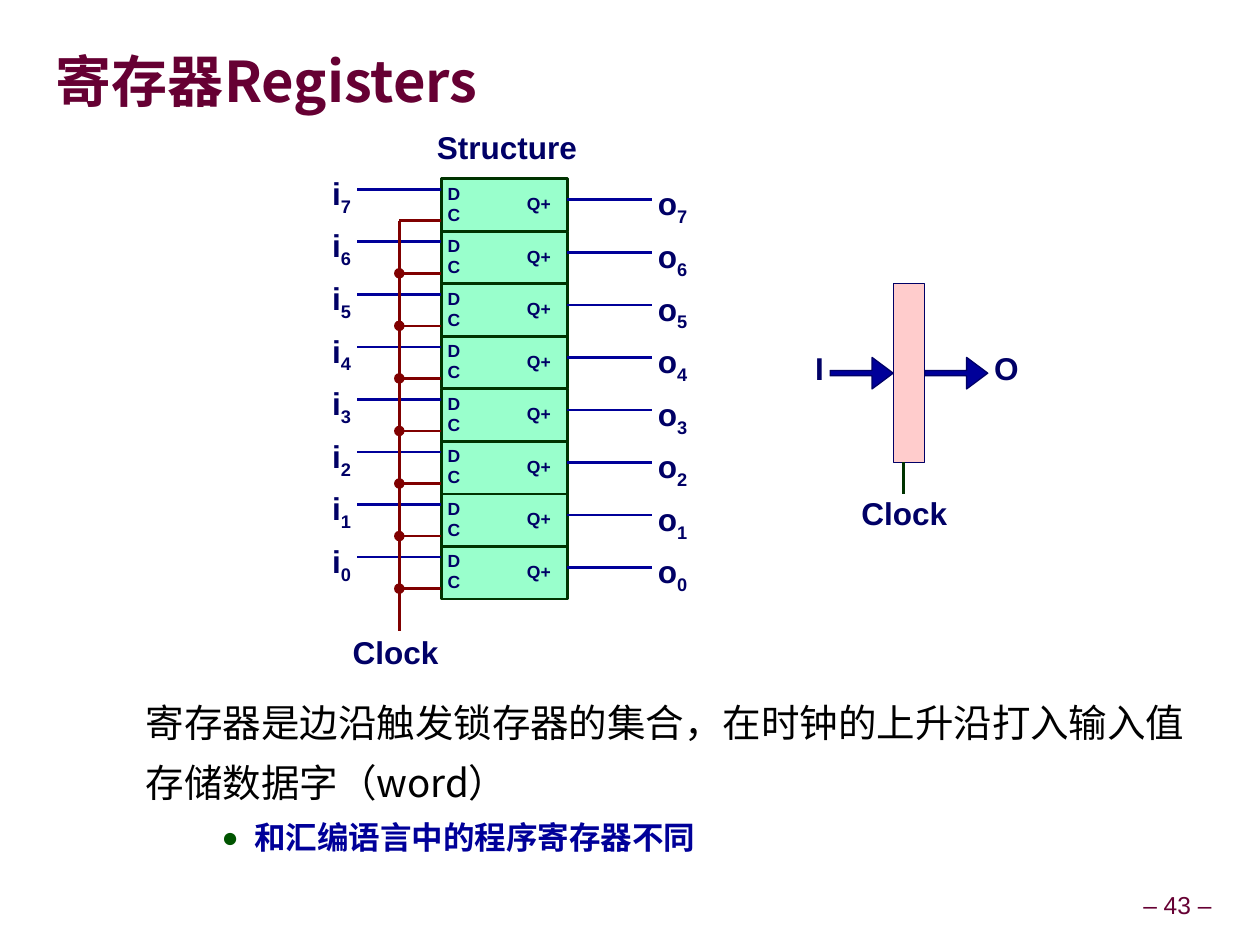
import pptx
import pptx.dml.color
import pptx.enum.shapes
import pptx.enum.text
import pptx.oxml.ns
import pptx.util
from lxml import etree

SHAPE = pptx.enum.shapes.MSO_SHAPE
ALIGN = pptx.enum.text.PP_ALIGN
ANCHOR = pptx.enum.text.MSO_ANCHOR

PX_PER_INCH = 120
LATIN = "Arial"
CJK = "Noto Sans CJK SC"
MAROON = "660033"
NAVY = "000066"
BLUE = "000099"
CLOCK_RED = "800000"
DARK_GREEN = "003300"

BITS = 8
ROW_HEIGHT = 50
REGISTER_TOP = 170
REGISTER_LEFT = 420
REGISTER_WIDTH = 120
BUS_X = 380
LABEL_HEIGHT = 44


def px(length):
    return pptx.util.Emu(length * 914400 // PX_PER_INCH)


def color(value):
    return pptx.dml.color.RGBColor.from_string(value)


def add_child(parent, tag, **attributes):
    return etree.SubElement(parent, pptx.oxml.ns.qn(tag), attributes)


def add_span(para, text, size, ink, bold=True, font=LATIN, subscript=False):
    span = para.add_run()
    span.text = text
    span.font.size = pptx.util.Pt(size)
    span.font.bold = bold
    span.font.color.rgb = color(ink)
    span.font.name = font
    properties = span.font._element
    add_child(properties, "a:ea", typeface=CJK)
    if subscript:
        properties.set("baseline", "-25000")


def format_frame(frame, inset_x, inset_y, wrap=True, anchor=ANCHOR.TOP):
    frame.auto_size = pptx.enum.text.MSO_AUTO_SIZE.NONE
    frame.word_wrap = wrap
    frame.vertical_anchor = anchor
    frame.margin_left = frame.margin_right = px(inset_x)
    frame.margin_top = frame.margin_bottom = px(inset_y)


def add_label(shapes, text, left, top, width, height=LABEL_HEIGHT, size=18,
              align=ALIGN.LEFT, wrap=True, index="", ink=NAVY, bold=True,
              anchor=ANCHOR.TOP):
    box = shapes.add_textbox(px(left), px(top), px(width), px(height))
    format_frame(box.text_frame, 6, 6, wrap, anchor)
    para = box.text_frame.paragraphs[0]
    para.alignment = align
    para.line_spacing = 0.9
    add_span(para, text, size, ink, bold)
    if index:
        add_span(para, index, size, ink, bold, subscript=True)


def add_block(shapes, kind, left, top, width, height, fill, line=None,
              line_width=0.75):
    block = shapes.add_shape(kind, px(left), px(top), px(width), px(height))
    block.shadow.inherit = False
    block.fill.solid()
    block.fill.fore_color.rgb = color(fill)
    if line:
        block.line.color.rgb = color(line)
        block.line.width = pptx.util.Pt(line_width)
    else:
        block.line.fill.background()
    return block


def add_wire(shapes, start_x, start_y, end_x, end_y, ink):
    wire = shapes.add_connector(pptx.enum.shapes.MSO_CONNECTOR.STRAIGHT,
                                px(start_x), px(start_y), px(end_x), px(end_y))
    wire.line.color.rgb = color(ink)
    wire.line.width = pptx.util.Pt(1.5)
    add_child(wire._element.spPr, "a:effectLst")


def add_title(page):
    title = page.shapes.title
    title.left, title.top = px(53), px(32)
    title.width, title.height = px(1116), px(97)
    format_frame(title.text_frame, 0, 0, anchor=ANCHOR.MIDDLE)
    para = title.text_frame.paragraphs[0]
    para.alignment = ALIGN.LEFT
    para.line_spacing = 0.87
    add_span(para, "寄存器Registers", 32, MAROON, font=CJK)


def set_indent(para, margin, indent, bullet=False):
    properties = para._p.get_or_add_pPr()
    properties.set("marL", str(px(margin)))
    properties.set("indent", str(px(indent)))
    if bullet:
        bullet_color = add_child(properties, "a:buClr")
        add_child(bullet_color, "a:srgbClr", val="005400")
        add_child(properties, "a:buSzPct", val="90000")
        add_child(properties, "a:buFont", typeface=LATIN)
        add_child(properties, "a:buChar", char="●")


def add_body(page):
    box = page.shapes.add_textbox(px(80), px(650), px(1088), px(144))
    frame = box.text_frame
    format_frame(frame, 12, 6)
    statements = ["寄存器是边沿触发锁存器的集合，在时钟的上升沿打入输入值",
                  "存储数据字（word）"]
    for number, text in enumerate(statements):
        para = frame.add_paragraph() if number else frame.paragraphs[0]
        set_indent(para, 47, 0)
        para.line_spacing = 1.2
        if number:
            para.space_before = pptx.util.Pt(3)
        add_span(para, text, 22, "000000", bold=False, font=CJK)
    para = frame.add_paragraph()
    set_indent(para, 150, -31, bullet=True)
    para.line_spacing = 1.2
    para.space_before = pptx.util.Pt(3)
    add_span(para, "和汇编语言中的程序寄存器不同", 18, BLUE)


def add_symbol(page):
    shapes = page.shapes.add_group_shape().shapes
    add_block(shapes, SHAPE.RECTANGLE, 850, 270, 30, 170, "FFCCCC", NAVY)
    for left in (790, 880):
        arrow = add_block(shapes, SHAPE.RIGHT_ARROW, left, 340, 60, 30, BLUE, NAVY)
        arrow.adjustments[0] = 0.17
        arrow.adjustments[1] = 0.67
    add_label(shapes, "I", 730, 330, 60, align=ALIGN.RIGHT)
    add_label(shapes, "O", 940, 330, 60)
    add_wire(shapes, 860, 440, 860, 470, DARK_GREEN)
    add_label(shapes, "Clock", 814, 468, 93, align=ALIGN.CENTER, wrap=False)


def add_latch(shapes, row):
    top = REGISTER_TOP + row * ROW_HEIGHT
    right = REGISTER_LEFT + REGISTER_WIDTH
    bit = str(BITS - 1 - row)
    add_block(shapes, SHAPE.RECTANGLE, REGISTER_LEFT, top, REGISTER_WIDTH,
              ROW_HEIGHT, "99FFCC", DARK_GREEN, 1.5)
    add_wire(shapes, REGISTER_LEFT, top + 10, 340, top + 10, BLUE)
    add_wire(shapes, 620, top + 20, right, top + 20, BLUE)
    add_wire(shapes, REGISTER_LEFT, top + 40, BUS_X, top + 40, CLOCK_RED)
    if row:
        add_block(shapes, SHAPE.OVAL, BUS_X - 5, top + 35, 10, 10, CLOCK_RED)
    add_label(shapes, "D", REGISTER_LEFT, top, 30, 30, 10)
    add_label(shapes, "C", REGISTER_LEFT, top + 20, 30, 30, 10)
    add_label(shapes, "Q+", 490, top + 10, 40, 30, 10, ALIGN.RIGHT)
    add_label(shapes, "i", 280, top - 10, 60, align=ALIGN.RIGHT, index=bit)
    add_label(shapes, "o", 620, top, 60, index=bit)


def add_structure(page):
    shapes = page.shapes.add_group_shape().shapes
    for row in range(BITS):
        add_latch(shapes, row)
    add_wire(shapes, BUS_X, REGISTER_TOP + 40, BUS_X, 600, CLOCK_RED)
    add_label(shapes, "Clock", 330, 600, 93, align=ALIGN.CENTER, wrap=False)
    add_label(page.shapes, "Structure", 410, 120, 145, align=ALIGN.CENTER, wrap=False)


def main():
    deck = pptx.Presentation()
    deck.slide_width, deck.slide_height = px(1199), px(899)
    page = deck.slides.add_slide(deck.slide_layouts[5])
    add_title(page)
    add_body(page)
    add_symbol(page)
    add_structure(page)
    add_label(page.shapes, "– 43 –", 1081, 844, 79, 37, 14, ALIGN.CENTER,
              wrap=False, ink=MAROON, bold=False, anchor=ANCHOR.MIDDLE)
    deck.save("out.pptx")


if __name__ == "__main__":
    main()
